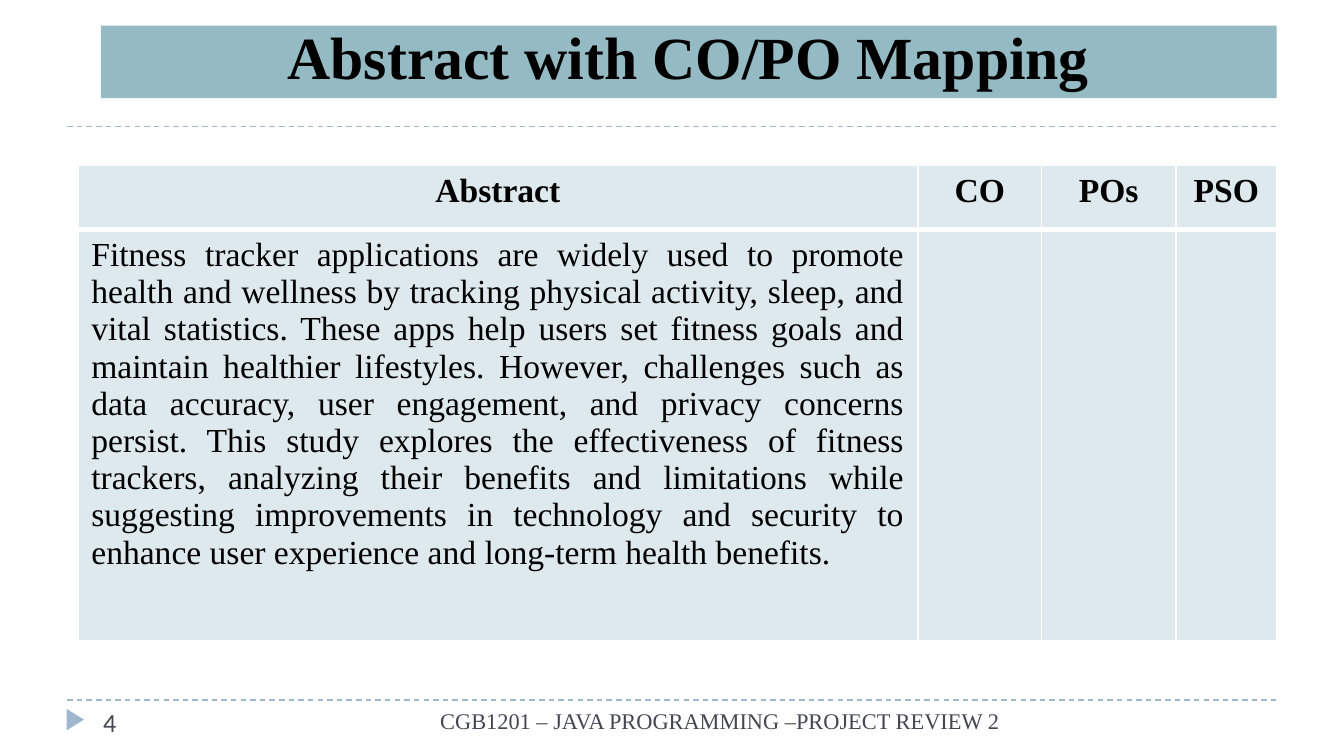
from typing import NamedTuple

from lxml.etree import SubElement
from pptx import Presentation
from pptx.dml.color import RGBColor
from pptx.enum.dml import MSO_LINE_DASH_STYLE as Dash
from pptx.enum.shapes import MSO_CONNECTOR_TYPE as Connector, MSO_SHAPE as Shape
from pptx.enum.text import MSO_ANCHOR as Anchor, PP_ALIGN as Align
from pptx.oxml.ns import qn
from pptx.util import Inches, Pt

BLACK = RGBColor(0x00, 0x00, 0x00)
WHITE = RGBColor(0xFF, 0xFF, 0xFF)
BLUE = RGBColor(0x9F, 0xB8, 0xCD)
TEAL = RGBColor(0x94, 0xBA, 0xC3)
PALE_TEAL = RGBColor(0xDD, 0xE9, 0xEC)
SLATE = RGBColor(0x46, 0x46, 0x53)
SERIF = "Times New Roman"

ABSTRACT = (
    "Fitness tracker applications are widely used to promote health and wellness "
    "by tracking physical activity, sleep, and vital statistics. These apps help "
    "users set fitness goals and maintain healthier lifestyles. However, challenges "
    "such as data accuracy, user engagement, and privacy concerns persist. This "
    "study explores the effectiveness of fitness trackers, analyzing their benefits "
    "and limitations while suggesting improvements in technology and security to "
    "enhance user experience and long-term health benefits."
)


class Box(NamedTuple):
    left: float
    top: float
    width: float
    height: float

    def lengths(self) -> list:
        return [Inches(value) for value in self]


class TextStyle(NamedTuple):
    size: int
    color: RGBColor = BLACK
    align: Align = Align.LEFT
    bold: bool = False
    font: str = SERIF


class Column(NamedTuple):
    heading: str
    width: float
    body: str = ""


class Footer(NamedTuple):
    text: str
    box: Box
    style: TextStyle


TITLE_STYLE = TextStyle(32, align=Align.CENTER, bold=True)
HEADING_STYLE = TextStyle(18, align=Align.CENTER, bold=True)
BODY_STYLE = TextStyle(18, align=Align.JUSTIFY)

TABLE_BOX = Box(0.58, 1.23, 8.92, 3.54)
ROW_HEIGHTS = (0.48, 3.06)
COLUMNS = (
    Column("Abstract", 6.25, ABSTRACT),
    Column("CO", 0.92),
    Column("POs", 1),
    Column("PSO", 0.75),
)
FOOTERS = (
    Footer("CGB1201 – JAVA PROGRAMMING –PROJECT REVIEW 2 ",
           Box(3.08, 5.21, 4.5, 0.41), TextStyle(12, SLATE, Align.RIGHT)),
    Footer("4", Box(0.67, 5.21, 2.17, 0.3), TextStyle(14, SLATE, font="Calibri")),
)


def write_text(text_frame, text: str, style: TextStyle) -> None:
    text_frame.text = text
    paragraph = text_frame.paragraphs[0]
    paragraph.alignment = style.align
    paragraph.font.size = Pt(style.size)
    for run in paragraph.runs:
        run.font.name = style.font
        run.font.size = Pt(style.size)
        run.font.bold = style.bold
        run.font.color.rgb = style.color


def add_filled_shape(slide, kind: Shape, box: Box, color: RGBColor):
    shape = slide.shapes.add_shape(kind, *box.lengths())
    shape.shadow.inherit = False
    shape.fill.solid()
    shape.fill.fore_color.rgb = color
    shape.line.fill.background()
    return shape


def add_rule(slide, top: float) -> None:
    rule = slide.shapes.add_connector(
        Connector.STRAIGHT, Inches(0.5), Inches(top), Inches(9.5), Inches(top))
    rule.line.color.rgb = BLUE
    rule.line.width = Pt(0.75)
    rule.line.dash_style = Dash.DASH
    SubElement(rule._element.spPr, qn("a:effectLst"))


def add_footer(slide, footer: Footer) -> None:
    text_frame = slide.shapes.add_textbox(*footer.box.lengths()).text_frame
    text_frame.word_wrap = True
    write_text(text_frame, footer.text, footer.style)


def set_borders(cell, top: float, bottom: float) -> None:
    properties = cell._tc.get_or_add_tcPr()
    for side, width in (("L", 1), ("R", 1), ("T", top), ("B", bottom)):
        line = SubElement(properties, qn(f"a:ln{side}"), w=str(Pt(width)))
        fill = SubElement(line, qn("a:solidFill"))
        SubElement(fill, qn("a:srgbClr"), val=str(WHITE))


def add_mapping_table(slide) -> None:
    table = slide.shapes.add_table(
        len(ROW_HEIGHTS), len(COLUMNS), *TABLE_BOX.lengths()).table
    for row, height in zip(table.rows, ROW_HEIGHTS):
        row.height = Inches(height)
    for index, column in enumerate(COLUMNS):
        table.columns[index].width = Inches(column.width)
        heading, body = table.cell(0, index), table.cell(1, index)
        set_borders(heading, top=1, bottom=3)
        set_borders(body, top=3, bottom=1)
        write_text(heading.text_frame, column.heading, HEADING_STYLE)
        write_text(body.text_frame, column.body, BODY_STYLE)
        for cell in (heading, body):
            cell.fill.solid()
            cell.fill.fore_color.rgb = PALE_TEAL


def main() -> None:
    presentation = Presentation()
    presentation.slide_width = Inches(10)
    presentation.slide_height = Inches(10) * 9 // 16
    slide = presentation.slides.add_slide(presentation.slide_layouts[6])

    for top in (5.21, 0.94):
        add_rule(slide, top)
    marker = add_filled_shape(
        slide, Shape.ISOSCELES_TRIANGLE, Box(0.48, 5.29, 0.16, 0.13), BLUE)
    marker.rotation = 90

    title = add_filled_shape(slide, Shape.RECTANGLE, Box(0.75, 0.19, 8.75, 0.54), TEAL)
    title.text_frame.vertical_anchor = Anchor.BOTTOM
    write_text(title.text_frame, "Abstract with CO/PO Mapping", TITLE_STYLE)

    for footer in FOOTERS:
        add_footer(slide, footer)
    add_mapping_table(slide)
    presentation.save("out.pptx")


if __name__ == "__main__":
    main()
